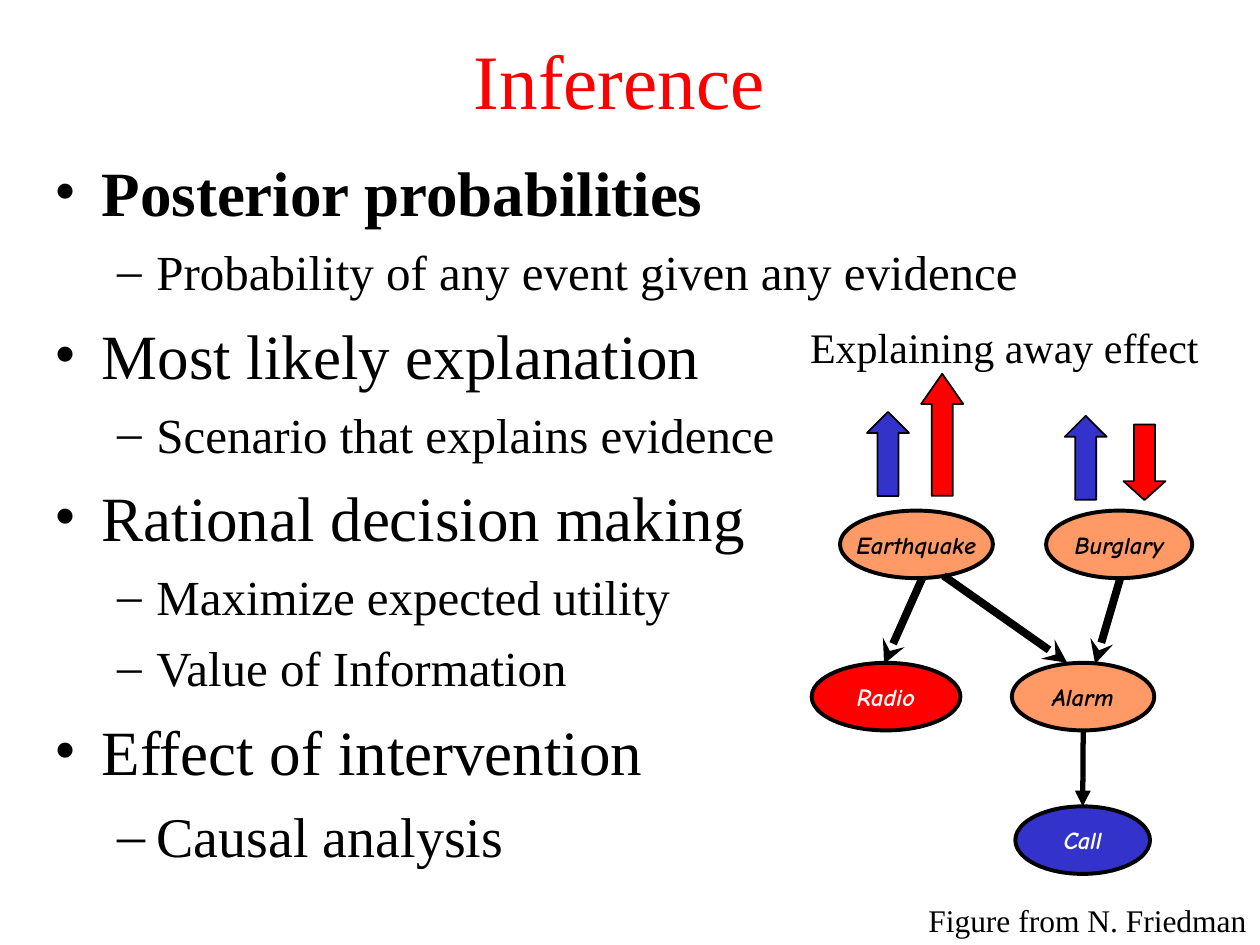
"""Build the slide on inference in Bayesian networks."""
import pptx
import pptx.util
import pptx.dml.color
import pptx.enum.shapes
import pptx.enum.text
import pptx.oxml.ns
from lxml import etree

Pt = pptx.util.Pt
qn = pptx.oxml.ns.qn
SHAPE = pptx.enum.shapes.MSO_SHAPE
ALIGN = pptx.enum.text.PP_ALIGN
ANCHOR = pptx.enum.text.MSO_ANCHOR

THEME = {
    "serif": "Times New Roman", "hand": "Comic Neue",
    "black": "000000", "white": "FFFFFF", "red": "FF0000",
    "blue": "3333CC", "orange": "FF9966",
    "title": 44, "topic": 36, "last": 32, "detail": 28,
    "caption": 24, "credit": 18, "node": 14,
}

TITLE = ("Inference", (48, 0, 612, 90))
OUTLINE_BOX = (24, 84.4, 680, 421)
OUTLINE = [
    (0, "Posterior probabilities", {"bold": True}),
    (1, "Probability of any event given any evidence", {}),
    (0, "Most likely explanation", {}),
    (1, "Scenario that explains evidence", {}),
    (0, "Rational decision making", {}),
    (1, "Maximize expected utility", {}),
    (1, "Value of Information", {}),
    (0, "Effect of intervention", {}),
    (1, "Causal analysis", {"size": "last", "before": 8}),
]
LEVELS = [
    {"mark": "•", "margin": 27, "hang": 27, "size": "topic", "before": 9},
    {"mark": "–", "margin": 58.3, "hang": 22.5, "size": "detail", "before": 7},
]
LABELS = [
    ("Figure from N. Friedman", (523.4, 511.2, 196, 28.8), "credit"),
    ("Explaining away effect", (455.8, 180, 237, 36), "caption"),
]
NODE_HEIGHT = 38.6
NODES = [
    ("Earthquake", 480, 291.8, 87.4, "orange", "black"),
    ("Burglary", 597.8, 291.8, 83.5, "orange", "black"),
    ("Alarm", 578.2, 378.8, 81.4, "orange", "black"),
    ("Radio", 463.8, 378.8, 85, "red", "white"),
    ("Call", 580.2, 460.8, 77, "blue", "white"),
]
EDGES = [
    ((527.2, 330), (505.2, 379.4), 4.5, "stealth", None),
    ((539.2, 329), (609.8, 378.7), 4.5, "stealth", None),
    ((640, 331), (625.8, 379.4), 4.5, "stealth", None),
    ((619, 418.2), (618.7, 460.8), 3, "triangle", "Call"),
]
ARROW_WIDTH = 24
ARROWS = [
    (SHAPE.UP_ARROW, 495.4, 235.4, 48, "blue", 0.5),
    (SHAPE.DOWN_ARROW, 642, 242.6, 43.2, "red", 0.45),
    (SHAPE.UP_ARROW, 608.4, 237.6, 48, "blue", 0.5),
    (SHAPE.UP_ARROW, 526.4, 213.6, 69.8, "red", 0.72),
]


def rgb(name):
    return pptx.dml.color.RGBColor.from_string(THEME[name])


def write(tf, text, size="node", font="serif", color="black", bold=False,
          italic=False, align=ALIGN.LEFT, before=0, new=False):
    p = tf.add_paragraph() if new else tf.paragraphs[0]
    p.alignment = align
    p.space_before = Pt(before)
    r = p.add_run()
    r.text = text
    r.font.name, r.font.size = THEME[font], Pt(THEME[size])
    r.font.bold, r.font.italic = bold, italic
    r.font.color.rgb = rgb(color)
    return p


def add_box(s, box, right=7.2, anchor=ANCHOR.TOP):
    tf = s.shapes.add_textbox(*map(Pt, box)).text_frame
    tf.word_wrap, tf.vertical_anchor = True, anchor
    tf.margin_right = Pt(right)
    return tf


def add_filled(s, kind, box, fill, width):
    sp = s.shapes.add_shape(kind, *map(Pt, box))
    sp.shadow.inherit = False
    sp.fill.solid()
    sp.fill.fore_color.rgb = rgb(fill)
    sp.line.color.rgb = rgb("black")
    sp.line.width = Pt(width)
    return sp


def add_outline(s):
    tf = add_box(s, OUTLINE_BOX)
    for i, (level, text, extra) in enumerate(OUTLINE):
        style = LEVELS[level]
        look = {"size": style["size"], "before": style["before"], **extra}
        p = write(tf, text, new=i > 0, **look)
        p.level = level
        pPr = p._p.get_or_add_pPr()
        pPr.set("marL", str(Pt(style["margin"])))
        pPr.set("indent", str(-Pt(style["hang"])))
        etree.SubElement(pPr, qn("a:buFont")).set("typeface", THEME["serif"])
        etree.SubElement(pPr, qn("a:buChar")).set("char", style["mark"])


def add_edge(s, start, end, width, head, target):
    line = s.shapes.add_connector(
        pptx.enum.shapes.MSO_CONNECTOR.STRAIGHT, *map(Pt, start + end))
    if target is not None:
        line.end_connect(target, 0)
    line.line.color.rgb = rgb("black")
    line.line.width = Pt(width)
    spPr = line._element.spPr
    etree.SubElement(spPr.find(qn("a:ln")), qn("a:tailEnd")).set("type", head)
    etree.SubElement(spPr, qn("a:effectLst"))


def main():
    prs = pptx.Presentation()
    prs.slide_width, prs.slide_height = Pt(720), Pt(540)
    s = prs.slides.add_slide(prs.slide_layouts[6])

    text, box = TITLE
    write(add_box(s, box, anchor=ANCHOR.MIDDLE), text, size="title",
          color="red", align=ALIGN.CENTER)
    add_outline(s)

    nodes = {}
    for name, x, y, width, fill, color in NODES:
        sp = add_filled(s, SHAPE.OVAL, (x, y, width, NODE_HEIGHT), fill, 2.25)
        tf = sp.text_frame
        tf.word_wrap, tf.vertical_anchor = False, ANCHOR.MIDDLE
        write(tf, name, font="hand", color=color, bold=True, italic=True,
              align=ALIGN.CENTER)
        nodes[name] = sp

    for start, end, width, head, target in EDGES:
        add_edge(s, start, end, width, head, nodes.get(target))

    for kind, x, y, height, fill, tip in ARROWS:
        sp = add_filled(s, kind, (x, y, ARROW_WIDTH, height), fill, 1)
        sp.adjustments[0], sp.adjustments[1] = 0.5, tip

    for text, box, size in LABELS:
        write(add_box(s, box, right=0), text, size=size)

    prs.save("out.pptx")


if __name__ == "__main__":
    main()
